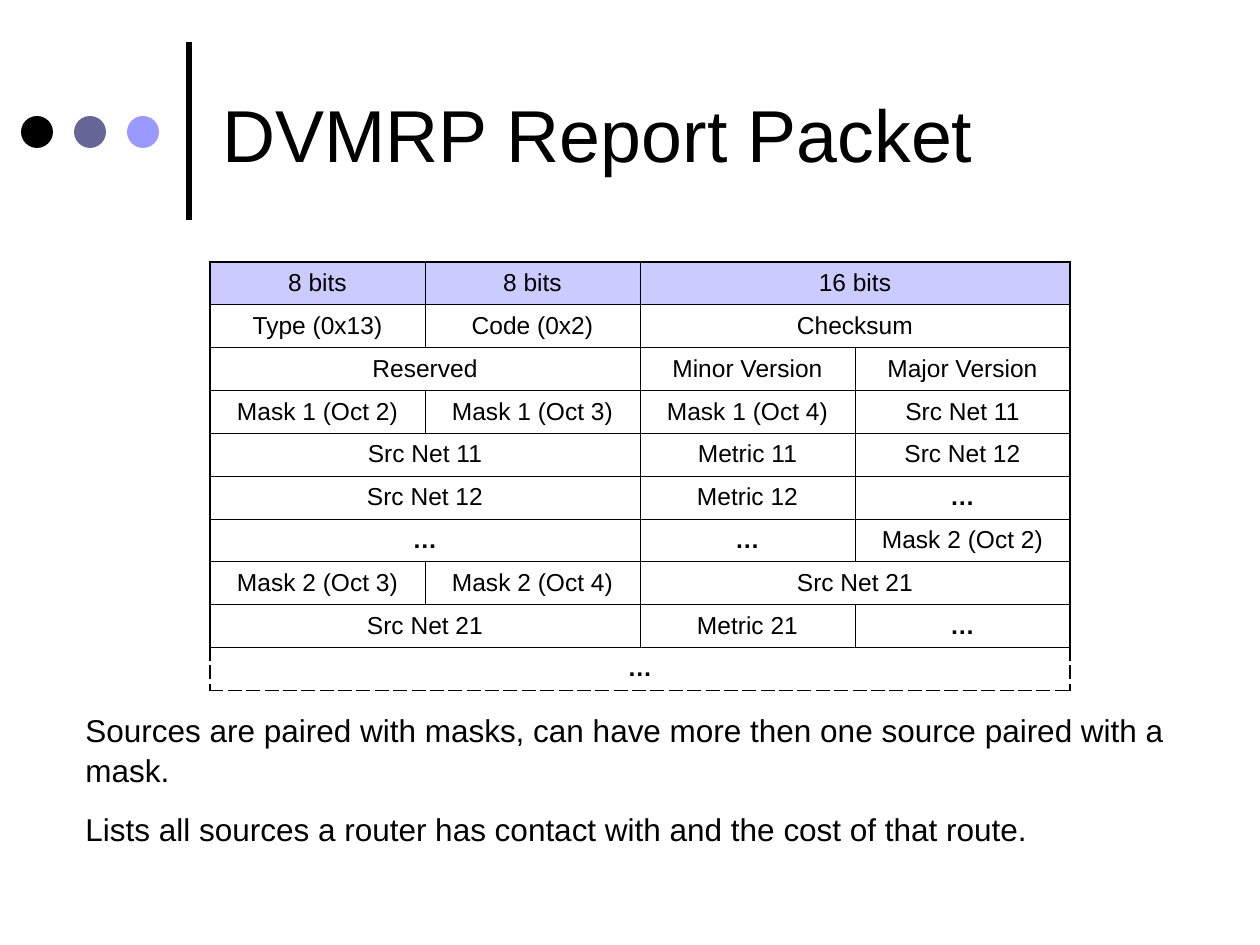
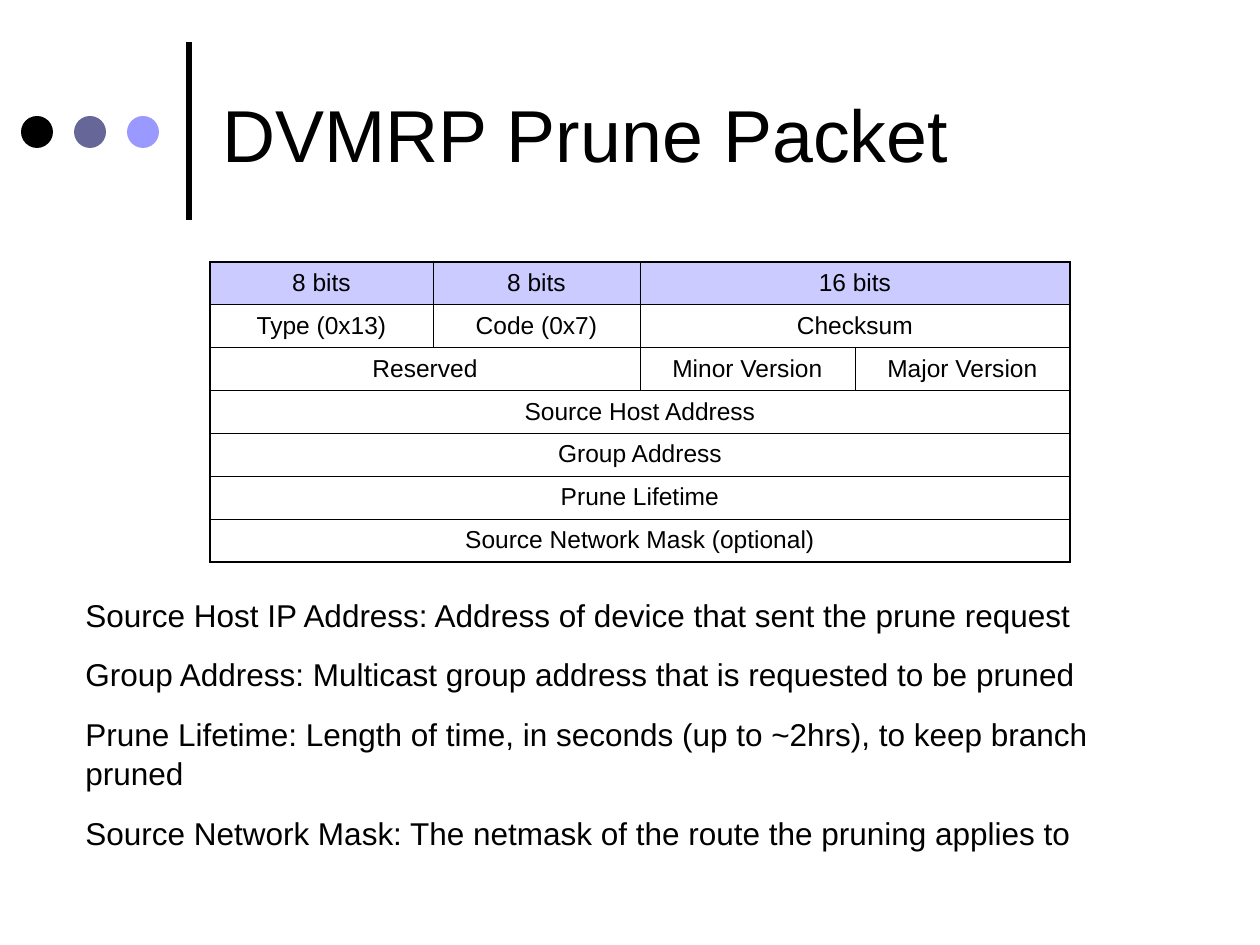
import dataclasses
import typing

import pptx
import pptx.dml.color
import pptx.enum.shapes
import pptx.enum.text
import pptx.oxml.ns
import pptx.slide
import pptx.table
import pptx.text.text
import pptx.util
from lxml import etree

EMU_PER_PX = 914400 / 126
BLACK = pptx.dml.color.RGBColor(0x00, 0x00, 0x00)
SLATE = pptx.dml.color.RGBColor(0x66, 0x66, 0x99)
PERIWINKLE = pptx.dml.color.RGBColor(0x99, 0x99, 0xFF)
FONT = "Arial"
LINE_SPACING = 1.05
NO_STYLE = "{2D5ABB26-0587-4C30-8999-92F81FD0307C}"

PACKET_LEFT, PACKET_TOP = 210, 262
CELL_MARGIN = 6
REMARKS_LEFT, REMARKS_WIDTH = 73, 1134


class Field(typing.NamedTuple):
    label: str
    span: int = 1


class Border(typing.NamedTuple):
    points: float
    dash: str = "solid"


INNER = Border(0.45)
OUTER = Border(1.08)
CONTINUED = Border(0.75, "dash")


@dataclasses.dataclass(frozen=True)
class PacketSlide:
    title: str
    column_widths: list[int]
    packet_height: int
    rows: list[list[Field]]
    remarks_top: int
    remarks_height: int
    remarks: list[str]
    continued: bool = False


HEADER = [Field("8 bits"), Field("8 bits"), Field("16 bits", 2)]
VERSIONS = [Field("Reserved", 2), Field("Minor Version"), Field("Major Version")]

REPORT = PacketSlide(
    title="DVMRP Report Packet",
    column_widths=[215, 215, 215, 215],
    packet_height=424,
    rows=[
        HEADER,
        [Field("Type (0x13)"), Field("Code (0x2)"), Field("Checksum", 2)],
        VERSIONS,
        [Field("Mask 1 (Oct 2)"), Field("Mask 1 (Oct 3)"), Field("Mask 1 (Oct 4)"), Field("Src Net 11")],
        [Field("Src Net 11", 2), Field("Metric 11"), Field("Src Net 12")],
        [Field("Src Net 12", 2), Field("Metric 12"), Field("…")],
        [Field("…", 2), Field("…"), Field("Mask 2 (Oct 2)")],
        [Field("Mask 2 (Oct 3)"), Field("Mask 2 (Oct 4)"), Field("Src Net 21", 2)],
        [Field("Src Net 21", 2), Field("Metric 21"), Field("…")],
        [Field("…", 4)],
    ],
    remarks_top=703,
    remarks_height=146,
    remarks=[
        "Sources are paired with masks, can have more then one source paired with a mask.",
        "Lists all sources a router has contact with and the cost of that route.",
    ],
    continued=True,
)

PRUNE = PacketSlide(
    title="DVMRP Prune Packet",
    column_widths=[223, 207, 215, 215],
    packet_height=297,
    rows=[
        HEADER,
        [Field("Type (0x13)"), Field("Code (0x7)"), Field("Checksum", 2)],
        VERSIONS,
        [Field("Source Host Address", 4)],
        [Field("Group Address", 4)],
        [Field("Prune Lifetime", 4)],
        [Field("Source Network Mask (optional)", 4)],
    ],
    remarks_top=588,
    remarks_height=261,
    remarks=[
        "Source Host IP Address: Address of device that sent the prune request",
        "Group Address: Multicast group address that is requested to be pruned",
        "Prune Lifetime: Length of time, in seconds (up to ~2hrs), to keep branch pruned",
        "Source Network Mask: The netmask of the route the pruning applies to",
    ],
)


def px(length: float) -> pptx.util.Emu:
    return pptx.util.Emu(round(length * EMU_PER_PX))


def set_text(paragraph: pptx.text.text._Paragraph, text: str, size: int) -> None:
    paragraph.text = text
    paragraph.line_spacing = LINE_SPACING
    paragraph.font.name = FONT
    paragraph.font.size = pptx.util.Pt(size)
    paragraph.font.color.rgb = BLACK


def add_text_box(slide: pptx.slide.Slide, left: int, top: int, width: int,
                 height: int) -> pptx.text.text.TextFrame:
    frame = slide.shapes.add_textbox(px(left), px(top), px(width), px(height)).text_frame
    frame.word_wrap = True
    return frame


def add_title_band(slide: pptx.slide.Slide, title: str) -> None:
    rule = slide.shapes.add_connector(
        pptx.enum.shapes.MSO_CONNECTOR.STRAIGHT, px(189), px(220), px(189), px(42))
    rule.line.color.rgb = BLACK
    rule.line.width = pptx.util.Pt(3)
    etree.SubElement(rule._element.spPr, pptx.oxml.ns.qn("a:effectLst"))

    for index, color in enumerate((BLACK, SLATE, PERIWINKLE)):
        dot = slide.shapes.add_shape(
            pptx.enum.shapes.MSO_SHAPE.OVAL, px(21 + 53 * index), px(116), px(32), px(32))
        dot.shadow.inherit = False
        dot.fill.solid()
        dot.fill.fore_color.rgb = color
        dot.line.fill.background()

    frame = add_text_box(slide, 210, 26, 966, 210)
    frame.vertical_anchor = pptx.enum.text.MSO_ANCHOR.MIDDLE
    set_text(frame.paragraphs[0], title, 42)


def set_borders(cell: pptx.table._Cell, borders: dict[str, Border]) -> None:
    """Draw the given sides, keyed L, R, T, B in that order."""
    properties = cell._tc.get_or_add_tcPr()
    for side, border in borders.items():
        line = etree.SubElement(properties, pptx.oxml.ns.qn(f"a:ln{side}"),
                                w=str(int(pptx.util.Pt(border.points))))
        fill = etree.SubElement(line, pptx.oxml.ns.qn("a:solidFill"))
        etree.SubElement(fill, pptx.oxml.ns.qn("a:srgbClr"), val=str(BLACK))
        etree.SubElement(line, pptx.oxml.ns.qn("a:prstDash"), val=border.dash)


def set_fill(cell: pptx.table._Cell, is_header: bool) -> None:
    """Give header cells a half-transparent tint and leave others clear."""
    if not is_header:
        cell.fill.background()
        return
    cell.fill.solid()
    cell.fill.fore_color.rgb = PERIWINKLE
    tint = cell._tc.tcPr.find(pptx.oxml.ns.qn("a:solidFill"))[0]
    etree.SubElement(tint, pptx.oxml.ns.qn("a:alpha"), val="50000")


def add_packet(slide: pptx.slide.Slide, content: PacketSlide) -> None:
    last_row, last_column = len(content.rows) - 1, len(content.column_widths) - 1
    frame = slide.shapes.add_table(
        last_row + 1, last_column + 1, px(PACKET_LEFT), px(PACKET_TOP),
        px(sum(content.column_widths)), px(content.packet_height))
    packet = frame.table
    packet.first_row = packet.horz_banding = False
    packet._tbl.tblPr.find(pptx.oxml.ns.qn("a:tableStyleId")).text = NO_STYLE
    for column, width in zip(packet.columns, content.column_widths):
        column.width = px(width)
    for row in packet.rows:
        row.height = px(content.packet_height / len(content.rows))

    for row_index, fields in enumerate(content.rows):
        is_last = row_index == last_row
        edge = CONTINUED if content.continued and is_last else OUTER
        start = 0
        for field in fields:
            end = start + field.span - 1
            cell = packet.cell(row_index, start)
            if field.span > 1:
                cell.merge(packet.cell(row_index, end))
            for column_index in range(start, end + 1):
                borders = {}
                if column_index == start:
                    borders["L"] = edge if start == 0 else INNER
                if column_index in (start, end):
                    borders["R"] = edge if end == last_column else INNER
                borders["T"] = OUTER if row_index == 0 else INNER
                borders["B"] = edge if is_last else INNER
                part = packet.cell(row_index, column_index)
                set_borders(part, borders)
                set_fill(part, row_index == 0)
            cell.margin_left = cell.margin_right = px(CELL_MARGIN)
            cell.margin_top = cell.margin_bottom = px(CELL_MARGIN)
            label = cell.text_frame.paragraphs[0]
            set_text(label, field.label, 14)
            label.alignment = pptx.enum.text.PP_ALIGN.CENTER
            label.font.bold = field.label == "…"
            start = end + 1


def add_remarks(slide: pptx.slide.Slide, content: PacketSlide) -> None:
    frame = add_text_box(slide, REMARKS_LEFT, content.remarks_top, REMARKS_WIDTH,
                         content.remarks_height)
    for index, remark in enumerate(content.remarks):
        paragraph = frame.add_paragraph() if index else frame.paragraphs[0]
        set_text(paragraph, remark, 18)
        if index:
            paragraph.space_before = pptx.util.Pt(11.2)


def main() -> None:
    deck = pptx.Presentation()
    deck.slide_width, deck.slide_height = px(1260), px(945)
    for content in (REPORT, PRUNE):
        slide = deck.slides.add_slide(deck.slide_layouts[6])
        add_title_band(slide, content.title)
        add_packet(slide, content)
        add_remarks(slide, content)
    deck.save("out.pptx")


if __name__ == "__main__":
    main()
